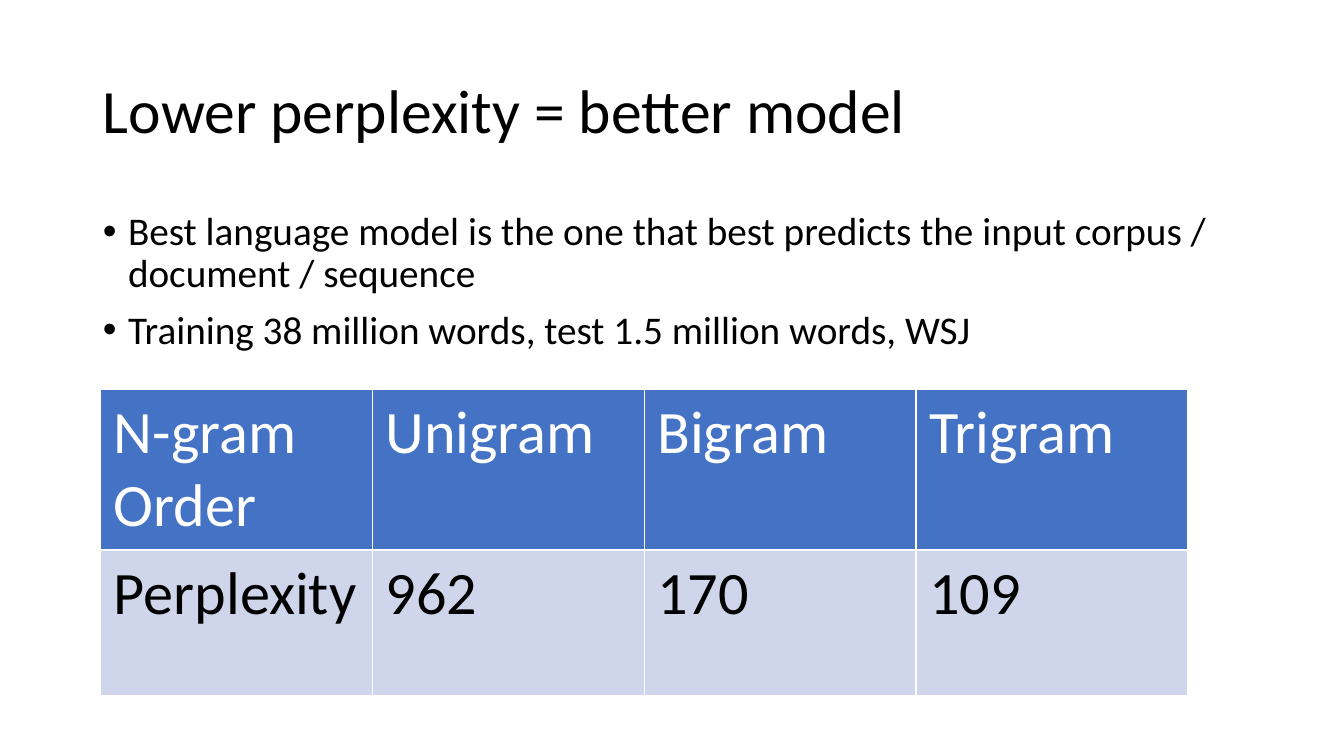
from pptx import Presentation
from pptx.dml.color import RGBColor
from pptx.enum.text import MSO_ANCHOR, MSO_AUTO_SIZE, PP_ALIGN
from pptx.oxml import parse_xml
from pptx.oxml.ns import nsdecls
from pptx.util import Inches, Pt

BLACK, WHITE = "000000", "FFFFFF"
BULLETS = [
    "Best language model is the one that best predicts the input corpus / document / sequence",
    "Training 38 million words, test 1.5 million words, WSJ",
]
PERPLEXITIES = [
    ["N-gram Order", "Unigram", "Bigram", "Trigram"],
    ["Perplexity", "962", "170", "109"],
]
ROW_STYLES = [("4472C4", WHITE), ("CFD5EA", BLACK)]


def color(value):
    return RGBColor.from_string(value)


def apply(target, values):
    for name, value in values.items():
        setattr(target, name, value)


def place(shape, left, top, width, height):
    apply(shape, {"left": Inches(left), "top": Inches(top),
                  "width": Inches(width), "height": Inches(height)})


def style_font(font, size, font_color):
    apply(font, {"name": "Calibri", "size": Pt(size), "bold": False})
    font.color.rgb = color(font_color)


def fill_title(title, text):
    place(title, 0.92, 0.4, 11.5, 1.45)
    frame = title.text_frame
    frame.text = text
    apply(frame, {"vertical_anchor": MSO_ANCHOR.MIDDLE, "auto_size": MSO_AUTO_SIZE.NONE})
    paragraph = frame.paragraphs[0]
    apply(paragraph, {"alignment": PP_ALIGN.LEFT, "line_spacing": 0.9})
    style_font(paragraph.font, 44, BLACK)


def fill_bullets(body, lines):
    place(body, 0.92, 1.48, 11.5, 4.76)
    frame = body.text_frame
    frame.text = "\n".join(lines)
    apply(frame, {"margin_top": Inches(0.62), "auto_size": MSO_AUTO_SIZE.NONE})
    for index, paragraph in enumerate(frame.paragraphs):
        properties = paragraph._p.get_or_add_pPr()
        properties.set("marL", str(Inches(0.25)))
        properties.set("indent", str(Inches(-0.25)))
        properties.append(parse_xml(f'<a:buFont {nsdecls("a")} typeface="Arial"/>'))
        properties.append(parse_xml(f'<a:buChar {nsdecls("a")} char="•"/>'))
        apply(paragraph, {"line_spacing": 0.9, "space_before": Pt(10 if index else 0)})
        style_font(paragraph.font, 28, BLACK)


def add_borders(cell, border_color, width):
    properties = cell._tc.get_or_add_tcPr()
    for side in "LRTB":
        properties.append(parse_xml(
            f'<a:ln{side} {nsdecls("a")} w="{Pt(width)}"><a:solidFill>'
            f'<a:srgbClr val="{border_color}"/></a:solidFill></a:ln{side}>'))


def fill_cell(cell, text, fill_color, font_color):
    cell.text = text
    add_borders(cell, WHITE, 1)
    cell.fill.solid()
    cell.fill.fore_color.rgb = color(fill_color)
    apply(cell, {"margin_left": Inches(0.13), "margin_right": Inches(0.13),
                 "margin_top": Inches(0.07), "margin_bottom": Inches(0.07)})
    style_font(cell.text_frame.paragraphs[0].runs[0].font, 43, font_color)


def add_perplexity_table(slide):
    table = slide.shapes.add_table(
        len(PERPLEXITIES), len(PERPLEXITIES[0]),
        Inches(1), Inches(3.86), Inches(10.78), Inches(3)).table
    for row, height in zip(table.rows, (1.57, 1.44)):
        row.height = Inches(height)
    for row, texts, (fill_color, font_color) in zip(table.rows, PERPLEXITIES, ROW_STYLES):
        for cell, text in zip(row.cells, texts):
            fill_cell(cell, text, fill_color, font_color)


def main():
    presentation = Presentation()
    apply(presentation, {"slide_width": Inches(13.33), "slide_height": Inches(7.5)})
    slide = presentation.slides.add_slide(presentation.slide_layouts[1])
    fill_title(slide.shapes.title, "Lower perplexity = better model")
    fill_bullets(slide.placeholders[1], BULLETS)
    add_perplexity_table(slide)
    presentation.save("out.pptx")


if __name__ == "__main__":
    main()
